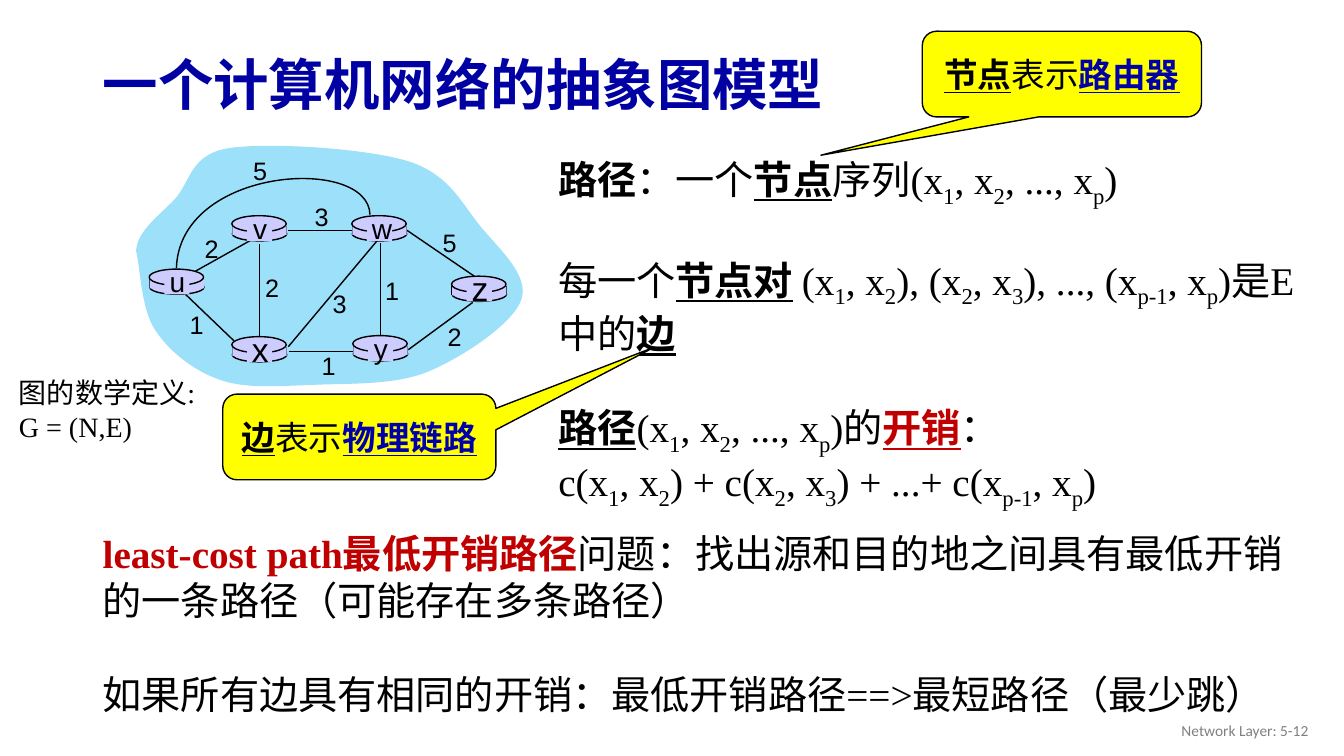
from pptx import Presentation
from pptx.util import Inches, Pt
from pptx.dml.color import RGBColor
from pptx.enum.shapes import MSO_SHAPE, MSO_CONNECTOR
from pptx.enum.text import PP_ALIGN, MSO_ANCHOR
from pptx.oxml.ns import qn
from lxml import etree

OVAL, RECT = MSO_SHAPE.OVAL, MSO_SHAPE.RECTANGLE
CALLOUT = MSO_SHAPE.ROUNDED_RECTANGULAR_CALLOUT
STRAIGHT = MSO_CONNECTOR.STRAIGHT
LEFT, CENTER, RIGHT = PP_ALIGN.LEFT, PP_ALIGN.CENTER, PP_ALIGN.RIGHT
TOP, MIDDLE = MSO_ANCHOR.TOP, MSO_ANCHOR.MIDDLE
SERIF, SANS, TITLE = "Times New Roman", "Arial", "Calibri"

COLORS = {k: RGBColor.from_string(v) for k, v in {
    "black": "000000", "title": "0000A3", "navy": "0000A8", "red": "C00000",
    "gray": "808080", "cloud": "9CE0FA", "router": "CCCCFF", "yellow": "FFFF00",
}.items()}

# Run styles, named by the part they play in the text
STYLES = {
    "": {}, "bold": {"bold": True}, "key": {"bold": True, "underline": True},
    "red": {"bold": True, "color": "red"},
    "red key": {"bold": True, "underline": True, "color": "red"},
    "navy key": {"bold": True, "underline": True, "color": "navy"},
    "title": {"bold": True, "color": "title"}, "footer": {"color": "gray"},
}


def grid(*cells):
    """Lengths on a grid of ten cells to the inch."""
    return [Inches(c / 10) for c in cells]


def write(sp, paras, size, font, align=LEFT, anchor=TOP, wrap=True):
    """Each paragraph is (space before, [(style, text)]); _x_ is a subscript."""
    tf = sp.text_frame
    tf.word_wrap, tf.vertical_anchor = wrap, anchor
    for i, (before, runs) in enumerate(paras):
        p = tf.paragraphs[0] if i == 0 else tf.add_paragraph()
        p.alignment = align
        if before:
            p.space_before = Pt(before)
        for style, text in runs:
            fmt = {"size": Pt(size), "name": font, "color": "black", **STYLES[style]}
            color = fmt.pop("color")
            for n, part in enumerate(text.split("_")):
                if not part:
                    continue
                r = p.add_run()
                r.text = part
                for key, value in fmt.items():
                    setattr(r.font, key, value)
                r.font.color.rgb = COLORS[color]
                if n % 2:
                    r.font._element.set("baseline", "-25000")


prs = Presentation()
prs.slide_width, prs.slide_height = grid(133.33, 75)
s = prs.slides.add_slide(prs.slide_layouts[6])
shapes = s.shapes

# Title and footer
sp = shapes.add_textbox(*grid(9.2, 3.8, 75, 9.8))
write(sp, [(0, [("title", "一个计算机网络的抽象图模型")])], 39.6, TITLE, anchor=MIDDLE)
sp.text_frame.paragraphs[0].line_spacing = 0.9
sp = shapes.add_textbox(*grid(100.8, 70.5, 30, 4))
write(sp, [(0, [("footer", "Network Layer: 5-12")])], 11, TITLE, RIGHT, MIDDLE)

# Cloud and the curved edge u-w: a start, then two handles and an end per curve
cloud = [(13.5, 24.9),
         (13.6, 22.9), (15.8, 21.4), (17.4, 19.7), (18.9, 18), (18.9, 15.3), (22.7, 14.7),
         (26.6, 14.1), (36.3, 14.7), (40.5, 16), (44.6, 17.3), (45.8, 20.2), (47.7, 22.5),
         (49.6, 24.8), (52.6, 27.4), (51.7, 29.8), (50.8, 32.2), (45.8, 35.5), (42.4, 36.9),
         (38.9, 38.3), (34.2, 38), (30.8, 38.2), (27.3, 38.3), (24.2, 38.6), (21.6, 37.6),
         (19.1, 36.7), (16.7, 34.8), (15.3, 32.6), (14, 30.5), (13.9, 26.5), (13.5, 24.9)]
arc = [(36.7, 21.3), (36.6, 15.4), (17.8, 16.5), (17.5, 26.6)]
for points, fill in ((cloud, "cloud"), (arc, None)):
    points = [grid(*pt) for pt in points]
    fb = shapes.build_freeform(*points[0])
    fb.add_line_segments(points[1:], close=bool(fill))
    sp = fb.convert_to_shape()
    sp.shadow.inherit = False
    # Every three straight segments become one cubic curve
    segments = list(sp._element.iter(qn("a:lnTo")))
    for i in range(0, len(segments), 3):
        curve = etree.Element(qn("a:cubicBezTo"))
        segments[i].addprevious(curve)
        for seg in segments[i:i + 3]:
            curve.append(seg[0])
            seg.getparent().remove(seg)
    if fill:
        sp.fill.solid()
        sp.fill.fore_color.rgb = COLORS[fill]
        sp.line.fill.background()
    else:
        sp.fill.background()
        sp.line.color.rgb, sp.line.width = COLORS["black"], Pt(1)

# Routers: left and top of the lid, size of the letter
LID_W, LID_H, SIDE_H, BASE_H = 5.4, 1.6, 0.9, 1.4
routers = {"u": (14.8, 26.7, 20), "x": (23, 33.4, 24), "v": (23, 21.4, 20),
           "w": (34.9, 21.4, 20), "y": (35, 33.3, 20), "z": (44.8, 27.4, 24)}

# Edges, then both sides of each router
lines = [(19.4, 26.9, 25.3, 23.6), (37.76, 24.1, 37.76, 33.2),
         (25.74, 24.2, 25.74, 33.5), (28.6, 34.4, 37.4, 23.9),
         (40.5, 34.7, 46.9, 30), (35.1, 34.9, 28.7, 34.9), (23.2, 33.8, 18.4, 29.2),
         (35, 22.86, 28.6, 22.86), (47.2, 27.5, 40.3, 22.8)]
for x, y, size in routers.values():
    lines += [(x + dx, y + 1, x + dx, y + 1 + SIDE_H) for dx in (0.05, LID_W)]
for ends in lines:
    ln = shapes.add_connector(STRAIGHT, *grid(*ends))
    ln.line.color.rgb, ln.line.width = COLORS["black"], Pt(1)
    etree.SubElement(ln._element.spPr, qn("a:effectLst"))

for name, (x, y, size) in routers.items():
    # Base, side, lid, and the patch behind the letter
    for kind, outlined, box in (
            (OVAL, True, (x + 0.05, y + 1.1, LID_W, BASE_H)),
            (RECT, False, (x + 0.05, y + 1, LID_W, SIDE_H)),
            (OVAL, True, (x, y, LID_W, LID_H)),
            (RECT, False, (x + 1.5, y + 0.2, 2.5, 2.3))):
        sp = shapes.add_shape(kind, *grid(*box))
        sp.shadow.inherit = False
        sp.fill.solid()
        sp.fill.fore_color.rgb = COLORS["router"]
        if outlined:
            sp.line.color.rgb, sp.line.width = COLORS["black"], Pt(1)
        else:
            sp.line.fill.background()
    h = 5 if size == 24 else 4.3
    sp = shapes.add_textbox(*grid(x + 1, y + 1.2 - h / 2, 3.6, h))
    write(sp, [(0, [("", name)])], size, SANS, CENTER, wrap=False)

# Edge costs
for cost, x, y in (("2", 19.3, 22.7), ("2", 25.3, 26.5), ("1", 17.8, 30.2),
                   ("3", 32, 28.1), ("1", 30.9, 34.3), ("1", 37.2, 26.8),
                   ("2", 43.4, 31.4), ("5", 42.9, 22.1), ("3", 30.2, 19.5),
                   ("5", 24.1, 14.9)):
    sp = shapes.add_textbox(*grid(x, y, 3.4, 4))
    write(sp, [(0, [("", cost)])], 18, SANS, CENTER, wrap=False)

# Path definitions and the problem statement
GAP = 33.7
sp = shapes.add_textbox(*grid(54.4, 14.9, 75.6, 34))
write(sp, [
    (0, [("bold", "路径"), ("", "：一个"), ("key", "节点"),
         ("", "序列(x_1_, x_2_, ..., x_p_)")]),
    (GAP, [("", "每一个"), ("key", "节点对"),
           ("", " (x_1_, x_2_), (x_2_, x_3_), ..., (x_p-1_, x_p_)是E中的"), ("key", "边")]),
    (GAP, [("key", "路径"), ("", "(x_1_, x_2_, ..., x_p_)的"),
           ("red key", "开销"), ("", "：")]),
    (0, [("", "c(x_1_, x_2_) + c(x_2_, x_3_) + ...+ c(x_p-1_, x_p_)")]),
], 28, SERIF)
sp = shapes.add_textbox(*grid(9.2, 52, 120.8, 19.9))
write(sp, [
    (0, [("red", "least-cost path最低开销路径"),
         ("", "问题：找出源和目的地之间具有最低开销的一条路径（可能存在多条路径）")]),
    (GAP, [("", "如果所有边具有相同的开销：最低开销路径==>最短路径（最少跳）")]),
], 28, SERIF)

# Callouts
for box, tail, key, meaning in (
        ((91.5, 3.1, 27.7, 8.5), (-0.863, 0.947), "节点", "路由器"),
        ((22.1, 39.1, 27.1, 8.5), (1.08, -1.048), "边", "物理链路")):
    sp = shapes.add_shape(CALLOUT, *grid(*box))
    sp.shadow.inherit = False
    sp.adjustments[0], sp.adjustments[1] = tail
    sp.fill.solid()
    sp.fill.fore_color.rgb = COLORS["yellow"]
    sp.line.color.rgb, sp.line.width = COLORS["black"], Pt(1)
    write(sp, [(0, [("key", key), ("", "表示"), ("navy key", meaning)])],
          24, TITLE, CENTER, MIDDLE)

# Graph definition
sp = shapes.add_textbox(*grid(0.9, 36.75, 20.3, 7.7))
write(sp, [(0, [("", "图的数学定义:")]), (0, [("", "G = (N,E)")])], 20, SERIF, wrap=False)

prs.save("out.pptx")
